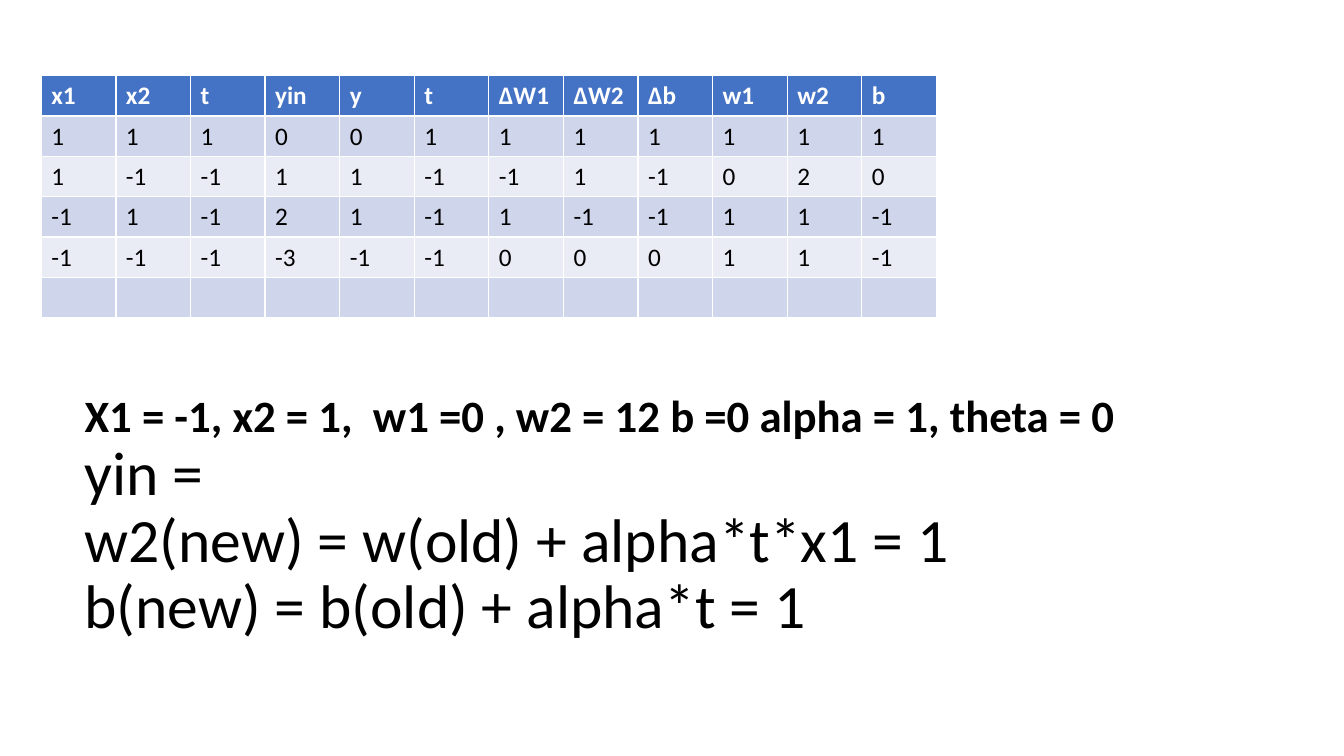
from pptx import Presentation
from pptx import util as u
from pptx.dml.color import RGBColor
from pptx.enum import text

FONT = "Calibri"
COLORS = {
    "header": "4472C4",
    "odd_row": "CFD5EA",
    "even_row": "E9EBF5",
    "header_text": "FFFFFF",
    "text": "000000",
}

HEADERS = ["x1", "x2", "t", "yin", "y", "t", "∆W1", "∆W2", "∆b", "w1", "w2", "b"]
STEPS = [
    [1, 1, 1, 0, 0, 1, 1, 1, 1, 1, 1, 1],
    [1, -1, -1, 1, 1, -1, -1, 1, -1, 0, 2, 0],
    [-1, 1, -1, 2, 1, -1, 1, -1, -1, 1, 1, -1],
    [-1, -1, -1, -3, -1, -1, 0, 0, 0, 1, 1, -1],
    [""] * len(HEADERS),
]
# (wording, size in points, bold)
FORMULAS = [
    ("X1 = -1, x2 = 1,  w1 =0 , w2 = 12 b =0 alpha = 1, theta = 0", 32, True),
    ("yin =", 44, False),
    ("w2(new) = w(old) + alpha*t*x1 = 1", 44, False),
    ("b(new) = b(old) + alpha*t = 1", 44, False),
]

SLIDE_W, SLIDE_H = 13.33, 7.5
TABLE_LEFT, TABLE_TOP = 0.41, 0.75
COL_W, ROW_H = 0.74, 0.4
FORMULA_BOX = (0.74, 3.15, 11.5, 3.98)


def add_run(p, words, size, color, bold):
    r = p.add_run()
    r.text = words
    r.font.name = FONT
    r.font.size = u.Pt(size)
    r.font.bold = bold
    r.font.color.rgb = RGBColor.from_string(COLORS[color])


def add_training_table(s):
    rows = [HEADERS] + STEPS
    n_rows, n_cols = len(rows), len(HEADERS)
    frame = s.shapes.add_table(
        n_rows, n_cols, u.Inches(TABLE_LEFT), u.Inches(TABLE_TOP),
        u.Inches(COL_W * n_cols), u.Inches(ROW_H * n_rows))
    table = frame.table
    for col in table.columns:
        col.width = u.Inches(COL_W)
    for i, values in enumerate(rows):
        table.rows[i].height = u.Inches(ROW_H)
        header = i == 0
        fill = "header" if header else "odd_row" if i % 2 else "even_row"
        for j, value in enumerate(values):
            cell = table.cell(i, j)
            cell.fill.solid()
            cell.fill.fore_color.rgb = RGBColor.from_string(COLORS[fill])
            if value != "":
                add_run(cell.text_frame.paragraphs[0], str(value), 18,
                        "header_text" if header else "text", header)


def add_formulas(s):
    box = s.shapes.add_textbox(*(u.Inches(v) for v in FORMULA_BOX))
    tf = box.text_frame
    tf.word_wrap = True
    tf.vertical_anchor = text.MSO_ANCHOR.MIDDLE
    p = tf.paragraphs[0]
    p.line_spacing = 0.9
    for i, (words, size, bold) in enumerate(FORMULAS):
        if i:
            p.add_line_break()
        add_run(p, words, size, "text", bold)


def main():
    prs = Presentation()
    prs.slide_width, prs.slide_height = u.Inches(SLIDE_W), u.Inches(SLIDE_H)
    s = prs.slides.add_slide(prs.slide_layouts[6])
    add_formulas(s)
    add_training_table(s)
    prs.save("out.pptx")


if __name__ == "__main__":
    main()
